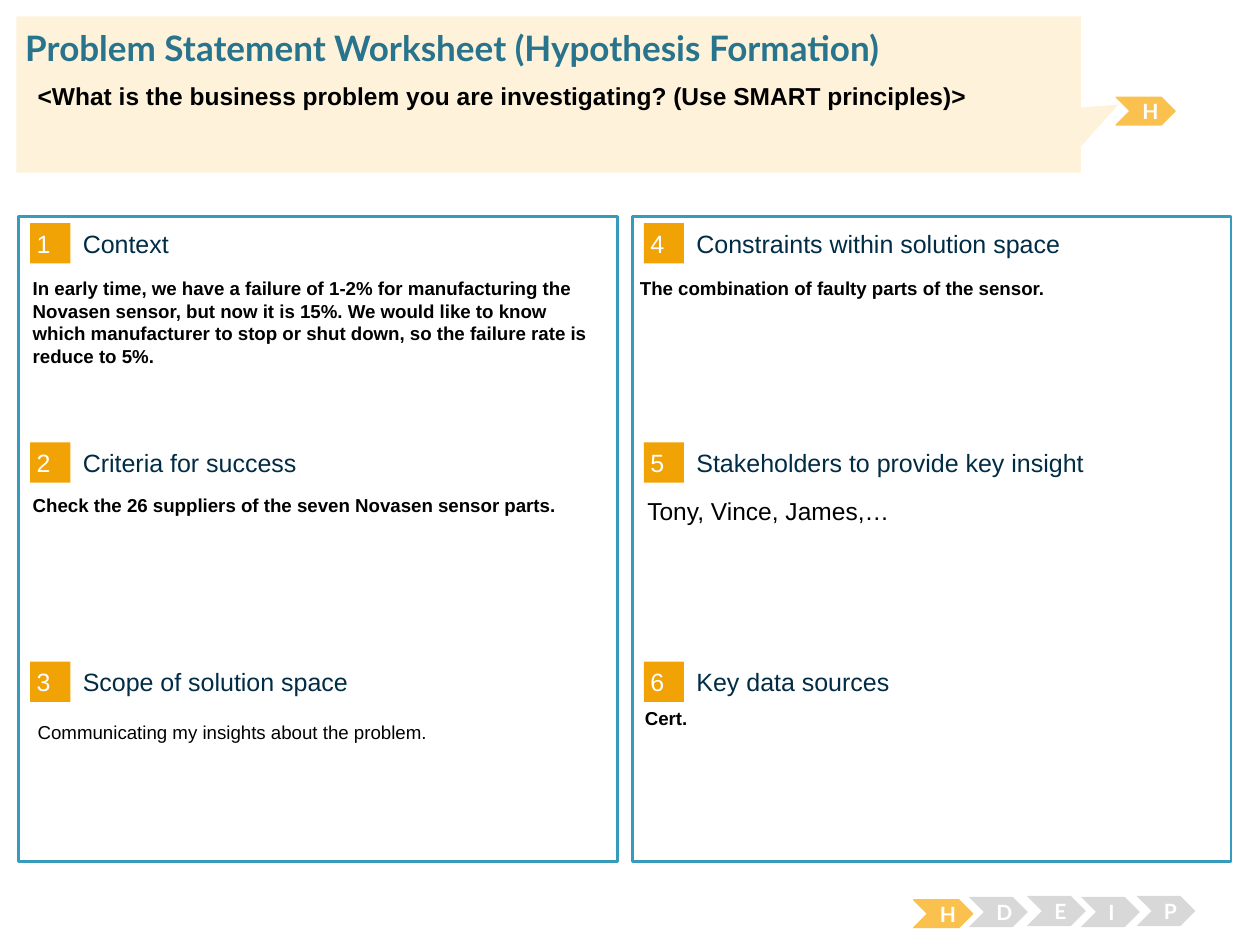
from pptx import Presentation
from pptx.dml.color import RGBColor
from pptx.enum.shapes import MSO_SHAPE
from pptx.enum.text import MSO_ANCHOR, PP_ALIGN
from pptx.util import Cm, Pt

WHITE = RGBColor(0xFF, 0xFF, 0xFF)
BLACK = RGBColor(0, 0, 0)
NAVY = RGBColor(0x00, 0x2C, 0x46)
TEAL = RGBColor(0x29, 0x74, 0x8D)
BLUE = RGBColor(0x37, 0x9B, 0xBD)
ORANGE = RGBColor(0xF1, 0xA2, 0x05)
AMBER = RGBColor(0xFB, 0xC1, 0x4E)
CREAM = RGBColor(0xFE, 0xF2, 0xDA)
GREY = RGBColor(0xD8, 0xD8, 0xD8)

ROW = 4.42
SMALL = 10.7
HEAD = 14.3

# Each row: heading, note, note offset (x, y), size, bold
LEFT = [
    ("Context",
     "In early time, we have a failure of 1-2% for manufacturing the "
     "Novasen sensor, but now it is 15%. We would like to know which "
     "manufacturer to stop or shut down, so the failure rate is reduce to 5%.",
     (0.03, 1.09), SMALL, True),
    ("Criteria for success",
     "Check the 26 suppliers of the seven Novasen sensor parts.",
     (0.03, 1.04), SMALL, True),
    ("Scope of solution space",
     "Communicating my insights about the problem.",
     (0.13, 1.19), SMALL, False),
]
RIGHT = [
    ("Constraints within solution space",
     "The combination of faulty parts of the sensor.",
     (-0.1, 1.09), SMALL, True),
    ("Stakeholders to provide key insight", "Tony, Vince, James,…",
     (0.05, 1.07), 14, False),
    ("Key data sources", "Cert.", (0, 0.91), SMALL, True),
]
STEPS = [("H", 18.42, 18.14), ("D", 19.53, 18.08), ("E", 20.7, 18.06),
         ("I", 21.79, 18.08), ("P", 22.91, 18.06)]


def write(shape, text, size, color, bold=False, font="Arial",
          pad=(0.25, 0.13), anchor=MSO_ANCHOR.TOP, align=PP_ALIGN.LEFT):
    """Put one run of styled text into a shape."""
    frame = shape.text_frame
    frame.word_wrap = True
    frame.vertical_anchor = anchor
    frame.margin_left = frame.margin_right = Cm(pad[0])
    frame.margin_top = frame.margin_bottom = Cm(pad[1])
    para = frame.paragraphs[0]
    para.alignment = align
    run = para.add_run()
    run.text = text
    run.font.size = Pt(size)
    run.font.name = font
    run.font.bold = bold
    run.font.color.rgb = color


def label(slide, box, text, size, color, **style):
    """Add a text box at box (left, top, width, height in cm)."""
    write(slide.shapes.add_textbox(*map(Cm, box)), text, size, color, **style)


def block(slide, kind, box, fill, line=None, width=0.75):
    """Add a flat preset shape at box."""
    shape = slide.shapes.add_shape(kind, *map(Cm, box))
    shape.shadow.inherit = False
    shape.fill.solid()
    shape.fill.fore_color.rgb = fill
    if line is None:
        shape.line.fill.background()
    else:
        shape.line.color.rgb = line
        shape.line.width = Pt(width)
    return shape


def step(slide, x, y, text, active):
    """Add one chevron of the process tracker."""
    tall = 0.56 if active else 0.61
    mark = block(slide, MSO_SHAPE.CHEVRON, (x, y, 1.19, tall),
                 AMBER if active else GREY, AMBER if active else None)
    write(mark, text, 12, WHITE, bold=True, font="Lato",
          anchor=MSO_ANCHOR.MIDDLE, align=PP_ALIGN.CENTER)


def panel(slide, box, first, rows):
    """Add a framed column of numbered sections."""
    x, y = box[:2]
    block(slide, MSO_SHAPE.RECTANGLE, box, WHITE, BLUE, 1.5)
    for i, (head, note, (dx, dy), size, bold) in enumerate(rows):
        top = y + i * ROW
        badge = block(slide, MSO_SHAPE.RECTANGLE,
                      (x + 0.23, top + 0.13, 0.81, 0.81), ORANGE)
        write(badge, str(first + i), HEAD, WHITE, pad=(0.13, 0.13),
              anchor=MSO_ANCHOR.MIDDLE)
        label(slide, (x + 1.29, top + 0.21, 9.98, 0.64), head, HEAD, NAVY,
              pad=(0, 0), anchor=MSO_ANCHOR.MIDDLE)
        label(slide, (x + dx, top + dy, 12.01, 3), note, size, BLACK,
              bold=bold)


def banner(slide, box):
    """Add the callout with the title and the main question."""
    x, y = box[:2]
    call = block(slide, MSO_SHAPE.RECTANGULAR_CALLOUT, box, CREAM)
    call.adjustments[0] = 0.535
    call.adjustments[1] = 0.066
    label(slide, (x + 0.18, y + 0.2, 24.43, 0.86),
          "Problem Statement Worksheet (Hypothesis Formation)",
          20, TEAL, bold=True, font="Lato", pad=(0, 0))
    label(slide, (x + 0.18, y + 1.17, 23.85, 1.37),
          "<What is the business problem you are investigating? "
          "(Use SMART principles)>", 14, BLACK, bold=True)


def build():
    """Build and save the worksheet."""
    deck = Presentation()
    deck.slide_width, deck.slide_height = Cm(25.4), Cm(19.05)
    slide = deck.slides.add_slide(deck.slide_layouts[6])
    panel(slide, (0.38, 4.37, 12.07, 13), 1, LEFT)
    panel(slide, (12.75, 4.37, 12.07, 13), 4, RIGHT)
    for text, x, y in STEPS:
        step(slide, x, y, text, text == "H")
    step(slide, 22.5, 1.96, "H", True)
    banner(slide, (0.33, 0.33, 21.46, 3.15))
    deck.save("out.pptx")


build()
